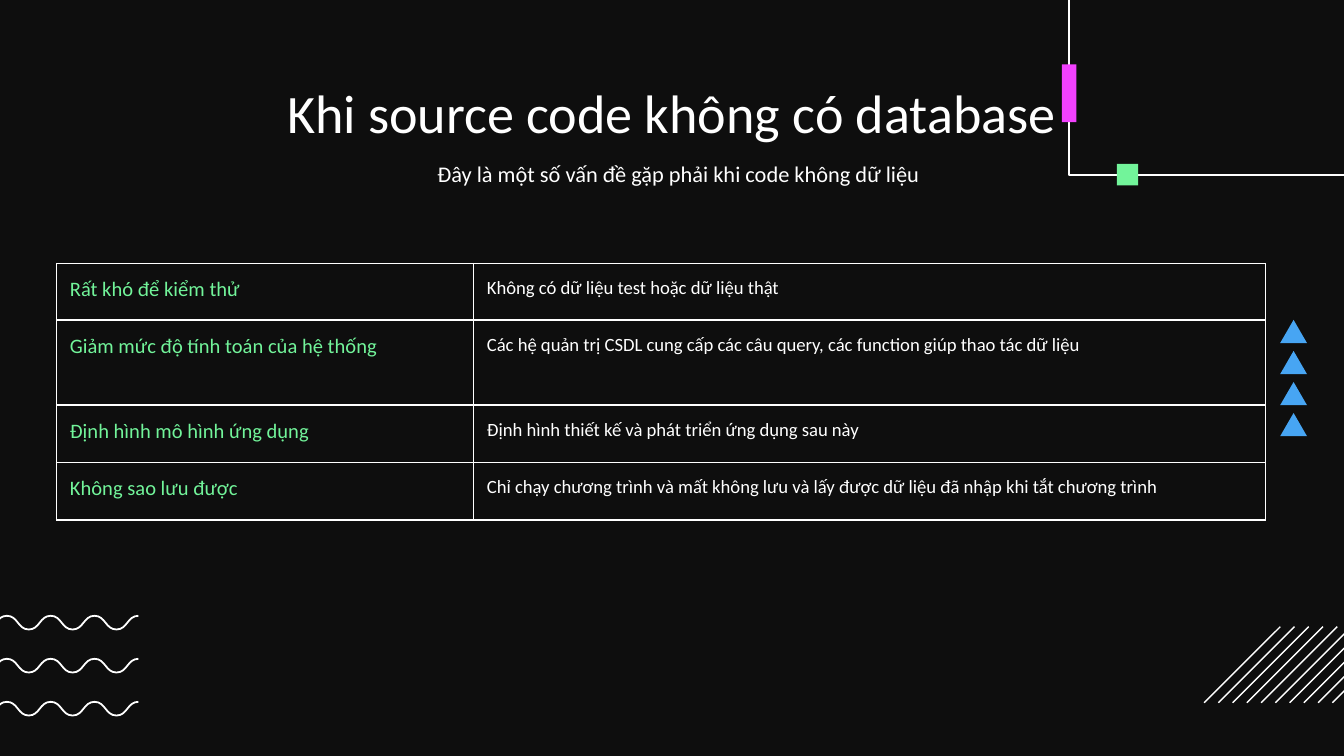
from lxml.etree import SubElement
from pptx import Presentation
from pptx.dml.color import RGBColor
from pptx.enum.shapes import MSO_CONNECTOR as Connector, MSO_SHAPE as Shape
from pptx.enum.text import MSO_ANCHOR as Anchor, PP_ALIGN as Align
from pptx.oxml import parse_xml
from pptx.oxml.ns import nsdecls, qn
from pptx.util import Inches, Pt

COLORS = {
    "background": "0E0E0E",
    "white": "FFFFFF",
    "green": "72F49A",
    "blue": "47A5F3",
    "pink": "F341FF",
}
FONT = "Calibri"
COLUMNS, ROWS = 100, 56.25
UNIT = Inches(10) / COLUMNS
TABLE_COLUMNS = [31.03, 58.91]
TABLE_ROWS = [4.22, 6.32, 4.28, 4.28]
PROBLEMS = [
    ("Rất khó để kiểm thử", "Không có dữ liệu test hoặc dữ liệu thật"),
    ("Giảm mức độ tính toán của hệ thống",
     "Các hệ quản trị CSDL cung cấp các câu query, các function giúp thao tác dữ liệu"),
    ("Định hình mô hình ứng dụng", "Định hình thiết kế và phát triển ứng dụng sau này"),
    ("Không sao lưu được",
     "Chỉ chạy chương trình và mất không lưu và lấy được dữ liệu đã nhập khi tắt chương trình"),
]


def grid(*cells):
    """Turn numbers of grid cells into lengths."""
    return [round(cell * UNIT) for cell in cells]


def color(name):
    """Look up a colour by name."""
    return RGBColor.from_string(COLORS[name])


def style_line(shape, width):
    """Give a shape or connector a white line."""
    shape.line.color.rgb = color("white")
    shape.line.width = Pt(width)


def write(frame, text, size, ink, align=Align.LEFT, after=0):
    """Write one paragraph into a text frame."""
    frame.word_wrap = True
    para = frame.paragraphs[0]
    para.text = text
    para.alignment = align
    para.space_after = Pt(after)
    para.font.name = FONT
    para.font.size = Pt(size)
    para.font.color.rgb = color(ink)


def add_heading(page, area, text, size, top, right):
    """Add a centred line of text with its top and right insets."""
    frame = page.shapes.add_textbox(*grid(*area)).text_frame
    frame.vertical_anchor = Anchor.TOP
    frame.margin_left, frame.margin_top, frame.margin_right, frame.margin_bottom = grid(
        1, top, right, 1)
    write(frame, text, size, "white", Align.CENTER)


def add_block(page, preset, area, fill):
    """Add a plain filled shape."""
    block = page.shapes.add_shape(preset, *grid(*area))
    block.shadow.inherit = False
    block.fill.solid()
    block.fill.fore_color.rgb = color(fill)
    block.line.fill.background()


def add_outline(page, points, width):
    """Add an open unfilled white outline."""
    start, *rest = [grid(*point) for point in points]
    builder = page.shapes.build_freeform(*start)
    builder.add_line_segments(rest, close=False)
    outline = builder.convert_to_shape()
    outline.shadow.inherit = False
    outline.fill.background()
    style_line(outline, width)
    return outline


def smooth_outline(outline):
    """Turn straight segments into curves that are level at both ends."""
    spots = list(outline._element.iter(qn("a:pt")))
    places = [(int(spot.get("x")), int(spot.get("y"))) for spot in spots]
    for spot, (x1, y1), (x2, y2) in zip(spots[1:], places, places[1:]):
        segment = spot.getparent()
        middle = (x1 + x2) // 2
        curve = SubElement(segment.getparent(), qn("a:cubicBezTo"))
        for x, y in ((middle, y1), (middle, y2), (x2, y2)):
            SubElement(curve, qn("a:pt"), x=str(x), y=str(y))
        segment.getparent().replace(segment, curve)


def add_wave(page, top):
    """Add a wave of seven half periods that enters from the left edge."""
    right, half, height = 10.3, 1.63, 1.02
    points = [(right - half * step, top + height * (step % 2)) for step in range(8)]
    smooth_outline(add_outline(page, points, 0.95))


def add_stroke(page, left, top, size):
    """Add one diagonal line of the hatching."""
    stroke = page.shapes.add_connector(
        Connector.STRAIGHT, *grid(left + size, top, left, top + size))
    SubElement(stroke._element.spPr, qn("a:effectLst"))
    style_line(stroke, 0.75)


def add_borders(cell):
    """Draw white borders on all sides of a cell."""
    props = cell._tc.get_or_add_tcPr()
    for index, side in enumerate(("lnL", "lnR", "lnT", "lnB")):
        props.insert(index, parse_xml(
            f'<a:{side} {nsdecls("a")} w="{Pt(0.75)}"><a:solidFill>'
            f'<a:srgbClr val="{COLORS["white"]}"/></a:solidFill></a:{side}>'))


def fill_cell(cell, text, size, ink, after):
    """Write a transparent bordered cell."""
    cell.margin_left, cell.margin_top, cell.margin_right, cell.margin_bottom = grid(1, 1, 1, 1)
    cell.vertical_anchor = Anchor.TOP
    cell.fill.background()
    add_borders(cell)
    write(cell.text_frame, text, size, ink, after=after)


def add_problem_table(page):
    """Add the table of problems and their explanations."""
    area = grid(4.2, 19.6, sum(TABLE_COLUMNS), sum(TABLE_ROWS))
    table = page.shapes.add_table(len(TABLE_ROWS), len(TABLE_COLUMNS), *area).table
    table.first_row = table.horz_banding = False
    for column, width in zip(table.columns, grid(*TABLE_COLUMNS)):
        column.width = width
    for row, height, (problem, detail) in zip(table.rows, grid(*TABLE_ROWS), PROBLEMS):
        row.height = height
        fill_cell(row.cells[0], problem, 11, "green", 0)
        fill_cell(row.cells[1], detail, 10, "white", 16)


def main():
    """Build and save the deck."""
    deck = Presentation()
    deck.slide_width, deck.slide_height = grid(COLUMNS, ROWS)
    page = deck.slides.add_slide(deck.slide_layouts[6])
    page.background.fill.solid()
    page.background.fill.fore_color.rgb = color("background")

    for index in range(3):
        add_wave(page, 45.82 + 3.2 * index)
    for index in range(4):
        add_block(page, Shape.ISOSCELES_TRIANGLE, (95.25, 23.8 + 2.31 * index, 2, 1.73), "blue")
    for index in range(10):
        add_stroke(page, 89.6 + 1.06 * index, 46.63, 5.66)

    add_heading(page, (7.8, 5.9, 84.4, 4.6), "Khi source code không có database", 29, 0, 1)
    add_problem_table(page)
    add_heading(page, (7.85, 10.9, 84.3, 5.2),
                "Đây là một số vấn đề gặp phải khi code không dữ liệu", 12, 1, 0)

    add_outline(page, [(122.8, 13.02), (79.55, 13.02), (79.55, -20.9)], 0.75)
    add_block(page, Shape.RECTANGLE, (83.1, 12.2, 1.6, 1.6), "green")
    add_block(page, Shape.RECTANGLE, (79, 4.8, 1.1, 4.3), "pink")
    deck.save("out.pptx")


if __name__ == "__main__":
    main()
